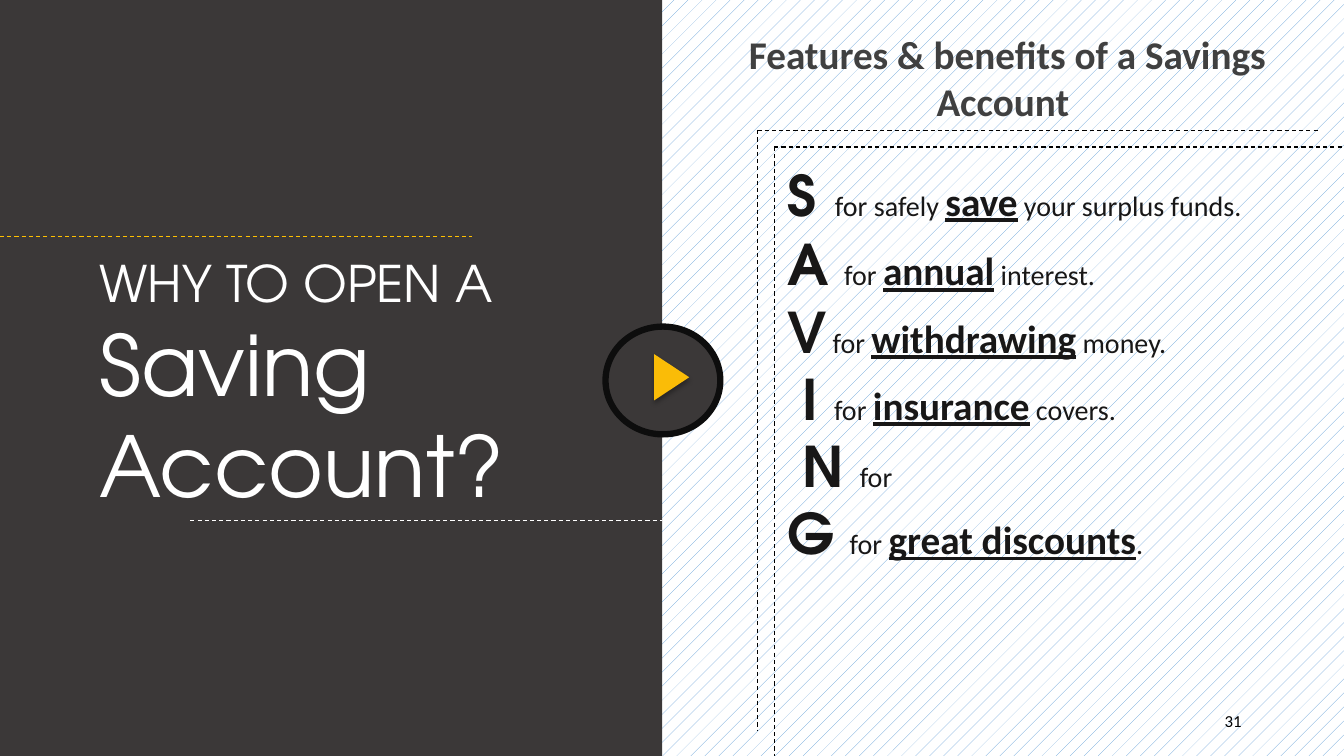
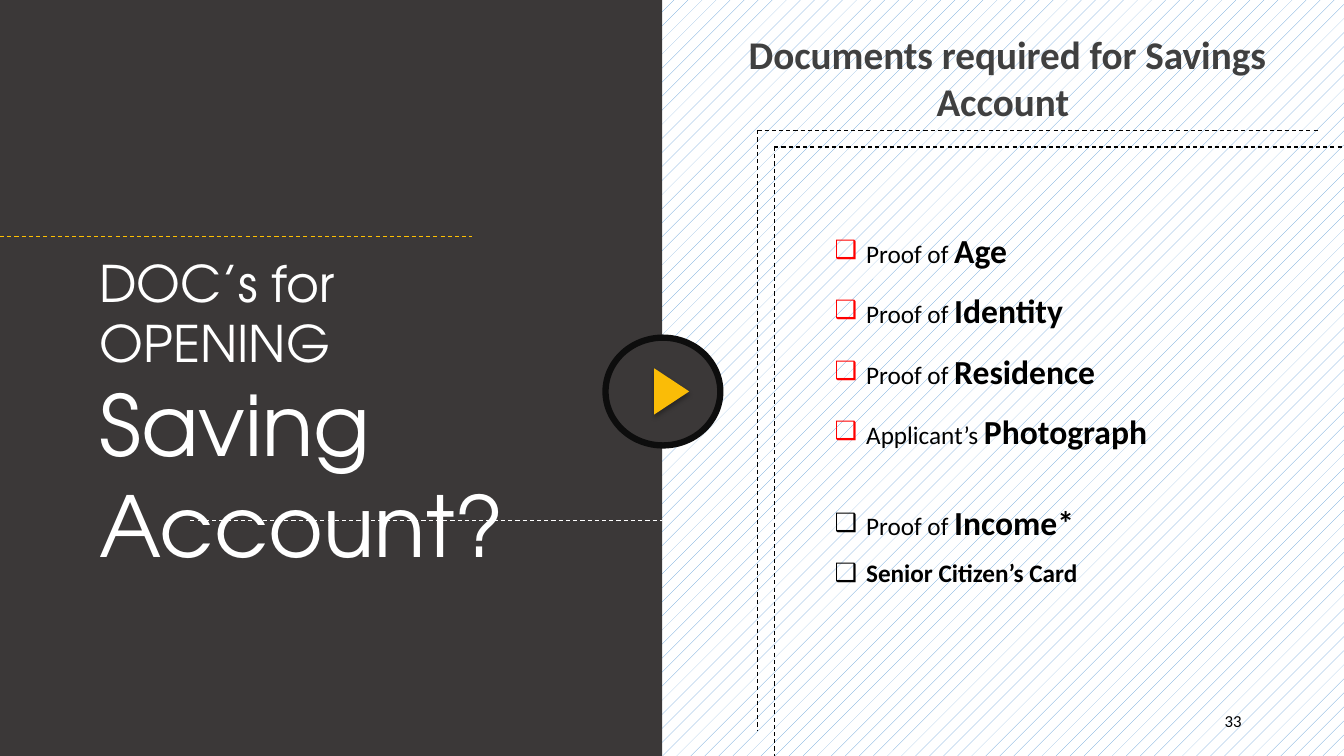
from lxml import etree
from pptx import Presentation
from pptx.dml.color import RGBColor
from pptx.enum.dml import MSO_LINE, MSO_PATTERN
from pptx.enum.shapes import MSO_CONNECTOR, MSO_SHAPE
from pptx.enum.text import MSO_ANCHOR, MSO_AUTO_SIZE, PP_ALIGN
from pptx.oxml import parse_xml
from pptx.oxml.ns import nsdecls, qn
from pptx.util import Pt

COLORS = {
    "panel": "3B3838", "ring": "0D0D0D", "gold": "FFC000", "play": "FABC07",
    "white": "FFFFFF", "black": "000000", "heading": "404040",
    "ink": "181717", "hatch": "5B9BD5", "red": "FF0000",
}
BODY_FONT, DISPLAY_FONT = "Calibri", "TeX Gyre Adventor"

# Dashed rules: start x, start y, end x, end y, colour
RULES = [
    (136, 372, 473, 372, "white"),
    (0, 169, 337, 169, "gold"),
    (541, 93, 541, 522, "black"),
    (553, 105, 553, 540, "black"),
    (553, 105, 960, 105, "black"),
    (541, 93, 943, 93, "black"),
]

# Acrostic rows: initial, gap size, lead, keyword, rest
SAVING_ROWS = [
    ("S", 48, "for safely ", "save", " your surplus funds."),
    ("A", 40, "for ", "annual", " interest."),
    ("V", 20, "for ", "withdrawing", " money."),
    (" I", 40, "for ", "insurance", " covers."),
    (" N", 40, "for", "", ""),
    ("G", 40, "for ", "great discounts", "."),
]

# Documents: lead, keyword, keyword size, bullet colour, space before
DOCUMENT_ROWS = [
    ("Proof of ", "Age", 24, "red", 0),
    ("Proof of ", "Identity", 24, "red", 0),
    ("Proof of ", "Residence", 24, "red", 0),
    ("Applicant’s ", "Photograph", 24, "red", 0),
    ("Proof of ", "Income*", 24, "black", 22),
    ("", "Senior Citizen’s Card", 18, "black", 0),
]

SLIDES = [
    {"number": "31", "lead": "WHY TO OPEN A", "ring_top": 233.3, "play_top": 257,
     "heading": "Features & benefits of a Savings Account ",
     "body": (555, 103, 379, 307)},
    {"number": "33", "lead": "DOC’s for OPENING", "ring_top": 241.2, "play_top": 267.1,
     "heading": "Documents required for Savings Account ",
     "body": (589, 146, 324, 280)},
]


def add_run(paragraph, text, size=20, color="black", font=BODY_FONT,
            bold=False, underline=False):
    run = paragraph.add_run()
    run.text = text
    run.font.size = Pt(size)
    run.font.name = font
    run.font.bold = bold
    run.font.underline = underline
    run.font.color.rgb = RGBColor.from_string(COLORS[color])


def prepare_frame(shape, left, top, width, height, anchor=MSO_ANCHOR.TOP):
    shape.left, shape.top = Pt(left), Pt(top)
    shape.width, shape.height = Pt(width), Pt(height)
    frame = shape.text_frame
    frame.word_wrap = True
    frame.auto_size = MSO_AUTO_SIZE.NONE
    frame.vertical_anchor = anchor
    return frame


presentation = Presentation()
presentation.slide_width, presentation.slide_height = Pt(960), Pt(540)

# Hatched background, shared through the master
background = presentation.slide_master.background.fill
background.patterned()
background.pattern = MSO_PATTERN.PERCENT_5
background.fore_color.rgb = RGBColor.from_string(COLORS["hatch"])
background.back_color.rgb = RGBColor.from_string(COLORS["white"])

bodies = []
for content in SLIDES:
    slide = presentation.slides.add_slide(presentation.slide_layouts[1])
    shapes = slide.shapes

    # Dark panel, ring and play triangle
    panel = shapes.add_shape(MSO_SHAPE.RECTANGLE, 0, 0, Pt(473), Pt(540))
    ring = shapes.add_shape(MSO_SHAPE.OVAL, Pt(432.5), Pt(content["ring_top"]),
                            Pt(82), Pt(77))
    play = shapes.add_shape(MSO_SHAPE.ISOSCELES_TRIANGLE, Pt(463.3),
                            Pt(content["play_top"]), Pt(33), Pt(25))
    play.rotation = 90
    for shape, color in ((panel, "panel"), (ring, "panel"), (play, "play")):
        shape.shadow.inherit = False
        shape.fill.solid()
        shape.fill.fore_color.rgb = RGBColor.from_string(COLORS[color])
        shape.line.fill.background()
    ring.line.color.rgb = RGBColor.from_string(COLORS["ring"])
    ring.line.width = Pt(4.5)
    effects = play.element.spPr.find(qn("a:effectLst"))
    effects.append(parse_xml(
        f'<a:outerShdw {nsdecls("a")} blurRad="{Pt(3.5)}" dist="{Pt(2.2)}" '
        f'dir="5400000" rotWithShape="0"><a:srgbClr val="{COLORS["black"]}">'
        '<a:alpha val="32000"/></a:srgbClr></a:outerShdw>'))

    # Dashed rules
    for x1, y1, x2, y2, color in RULES:
        rule = shapes.add_connector(MSO_CONNECTOR.STRAIGHT, Pt(x1), Pt(y1), Pt(x2), Pt(y2))
        rule.line.color.rgb = RGBColor.from_string(COLORS[color])
        rule.line.width = Pt(0.75)
        rule.line.dash_style = MSO_LINE.DASH
        etree.SubElement(rule.element.spPr, qn("a:effectLst"))

    # Topic on the panel
    topic = prepare_frame(shapes.add_textbox(0, 0, 0, 0), 64, 176.4, 327, 197)
    add_run(topic.paragraphs[0], content["lead"], size=36, color="white", font=DISPLAY_FONT)
    add_run(topic.add_paragraph(), "Saving Account?", size=60, color="white",
            font=DISPLAY_FONT)

    # Heading
    heading = prepare_frame(shapes.title, 512, 18, 415, 75).paragraphs[0]
    heading.alignment = PP_ALIGN.CENTER
    add_run(heading, content["heading"], size=28, color="heading", bold=True)

    # Slide number
    number = prepare_frame(shapes.add_textbox(0, 0, 0, 0), 678, 500.4, 216, 29,
                           anchor=MSO_ANCHOR.MIDDLE).paragraphs[0]
    number.alignment = PP_ALIGN.RIGHT
    add_run(number, content["number"], size=12)

    bodies.append(prepare_frame(slide.placeholders[1], *content["body"]))

saving_body, document_body = bodies

# Acrostic of benefits
for index, (initial, gap, lead, keyword, rest) in enumerate(SAVING_ROWS):
    paragraph = saving_body.add_paragraph() if index else saving_body.paragraphs[0]
    paragraph.space_before = Pt(0)
    properties = paragraph._p.get_or_add_pPr()
    properties.set("marL", "0")
    properties.set("indent", "0")
    etree.SubElement(properties, qn("a:buNone"))
    add_run(paragraph, initial, size=40, color="ink", font=DISPLAY_FONT, bold=True)
    add_run(paragraph, " ", size=gap, color="ink", bold=True,
            font=BODY_FONT if gap == 20 else DISPLAY_FONT)
    add_run(paragraph, lead, color="ink")
    if keyword:
        add_run(paragraph, keyword, size=28, color="ink", bold=True, underline=True)
        add_run(paragraph, rest, color="ink")

# Checklist of documents
for index, (lead, keyword, size, bullet, space) in enumerate(DOCUMENT_ROWS):
    paragraph = document_body.add_paragraph() if index else document_body.paragraphs[0]
    paragraph.space_before = Pt(space)
    paragraph.line_spacing = 1.5
    properties = paragraph._p.get_or_add_pPr()
    properties.set("marL", str(Pt(22.5)))
    properties.set("indent", str(-Pt(22.5)))
    bullet_color = etree.SubElement(properties, qn("a:buClr"))
    etree.SubElement(bullet_color, qn("a:srgbClr"), val=COLORS[bullet])
    etree.SubElement(properties, qn("a:buChar"), char="❑")
    if lead:
        add_run(paragraph, lead, size=18)
    add_run(paragraph, keyword, size=size, bold=True)

presentation.save("out.pptx")
